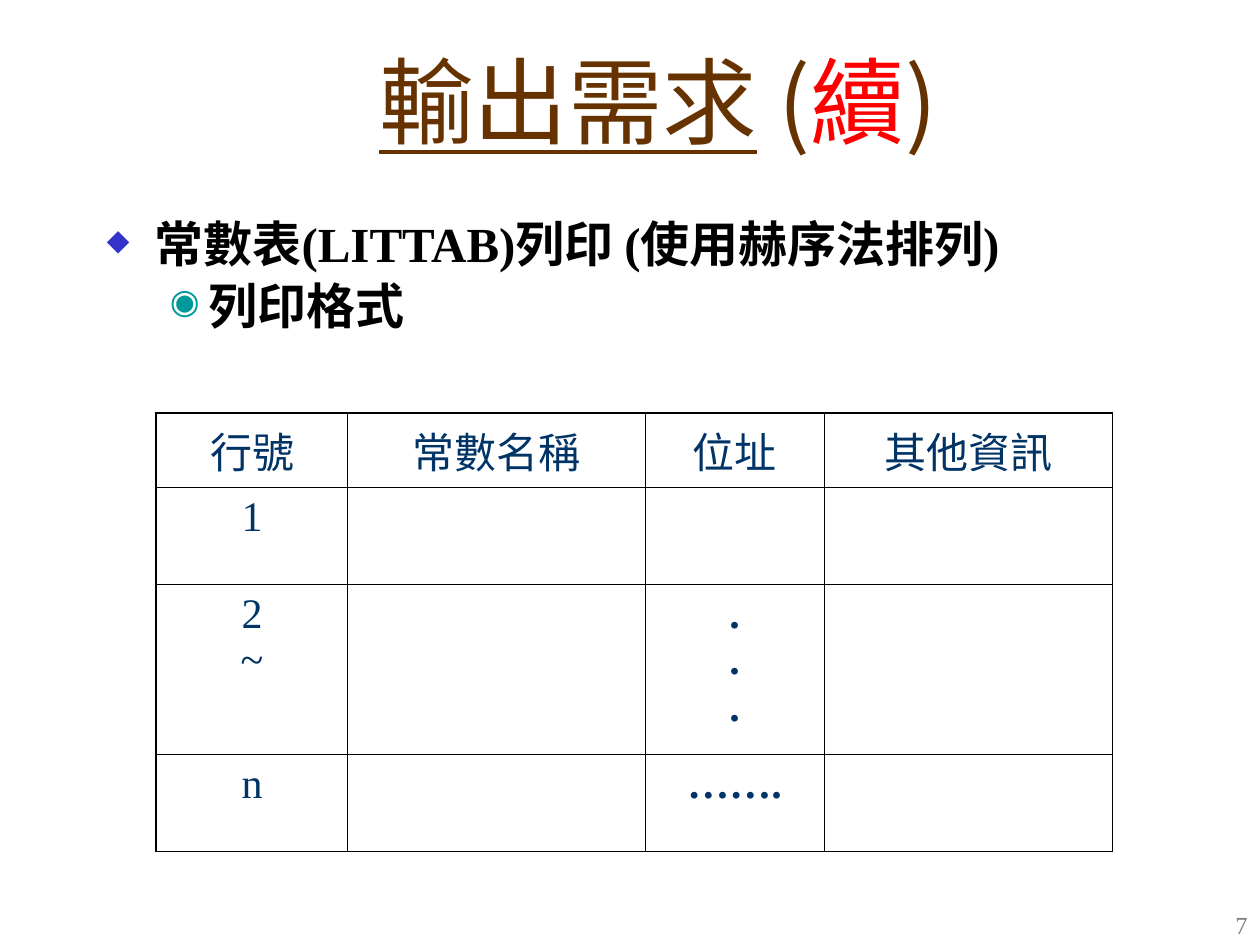
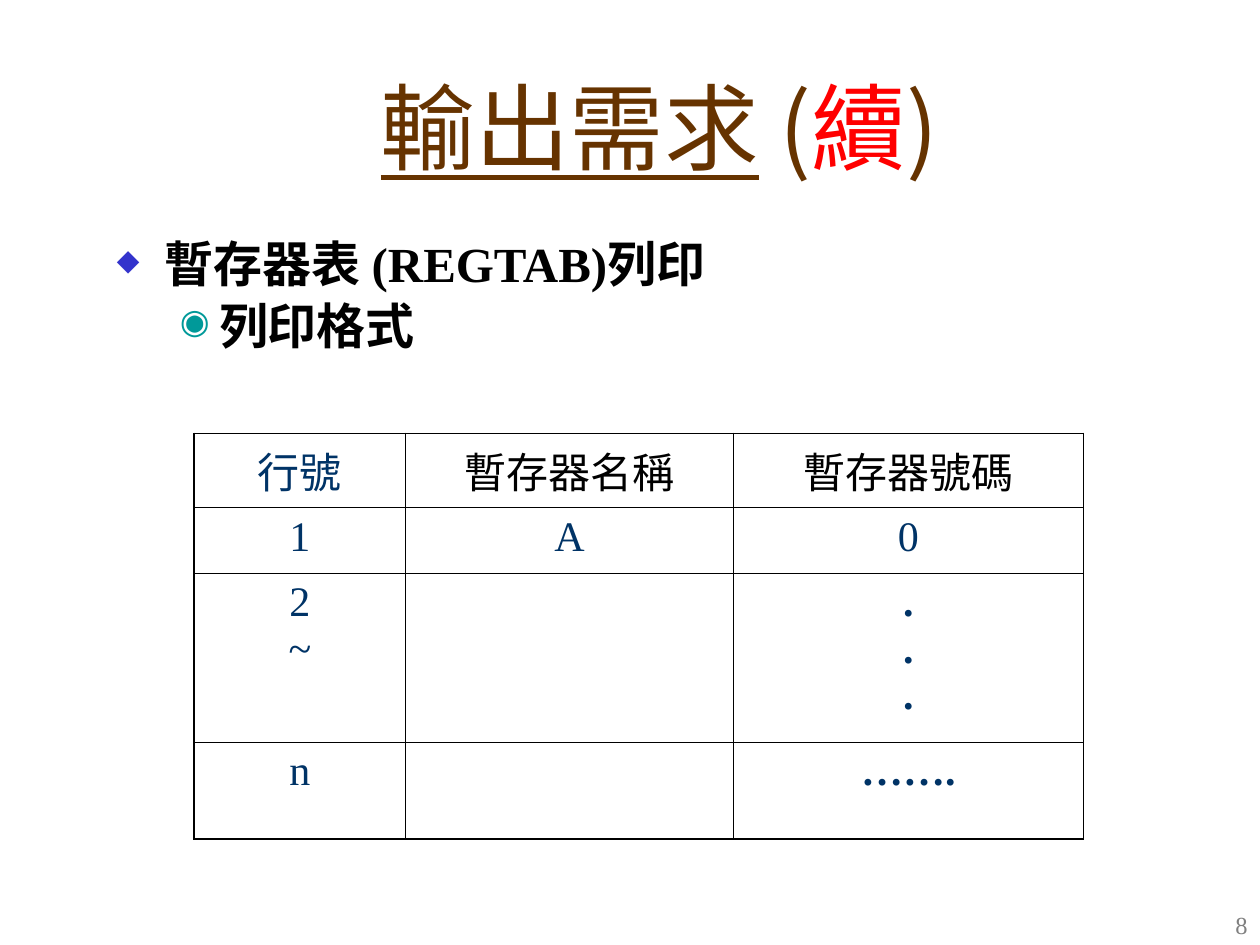
from lxml.etree import SubElement
from pptx import Presentation
from pptx.dml.color import RGBColor
from pptx.enum.text import MSO_ANCHOR, PP_ALIGN
from pptx.oxml import parse_xml
from pptx.oxml.ns import qn
from pptx.util import Inches, Pt

COLORS = {
    "title": "663300",
    "accent": "FF0000",
    "body": "000000",
    "table": "003366",
    "border": "000000",
    "number": "808080",
    "diamond": "3333CC",
    "circle": "009999",
    "shadow": "808080",
}
SANS = "Noto Sans CJK SC"
SERIF = "Times New Roman"
NAMESPACE = 'xmlns:a="http://schemas.openxmlformats.org/drawingml/2006/main"'
TEXT_SHADOW = (
    f'<a:effectLst {NAMESPACE}><a:outerShdw dist="28398" dir="2700000" algn="ctr">'
    f'<a:srgbClr val="{COLORS["shadow"]}"/></a:outerShdw></a:effectLst>'
)
BULLETS = [("◆", "diamond", 60, 0.38, 0.38), ("◉", "circle", 70, 0.81, 0.31)]
TITLE_RUNS = [
    ("輸出需求", "title", True),
    (" (", "title", False),
    ("續", "accent", False),
    (")", "title", False),
]
OUTER_WIDTH, INNER_WIDTH = Pt(1.08), Pt(0.45)
DOTS = ".\n.\n."
ELLIPSIS = "……."


def add_run(paragraph, text, size, color, name, bold=False):
    """Append a formatted run and return it."""
    run = paragraph.add_run()
    run.text = text
    font = run.font
    font.size = Pt(size)
    font.bold = bold
    font.name = name
    font.color.rgb = RGBColor.from_string(COLORS[color])
    latin = run._r.get_or_add_rPr().find(qn("a:latin"))
    latin.addnext(parse_xml(f'<a:ea {NAMESPACE} typeface="{SANS}"/>'))
    return run


def add_text_frame(slide, box, anchor=MSO_ANCHOR.TOP):
    """Add a wrapping text box and return its text frame."""
    frame = slide.shapes.add_textbox(*map(Inches, box)).text_frame
    frame.word_wrap = True
    frame.vertical_anchor = anchor
    return frame


def add_title(slide, box):
    """Add the centred, shadowed title."""
    paragraph = add_text_frame(slide, box, MSO_ANCHOR.MIDDLE).paragraphs[0]
    paragraph.alignment = PP_ALIGN.CENTER
    for text, color, underlined in TITLE_RUNS:
        run = add_run(paragraph, text, 54, color, SANS)
        run.font.underline = underlined
        fill = run._r.rPr.find(qn("a:solidFill"))
        fill.addnext(parse_xml(TEXT_SHADOW))


def set_bullet(paragraph, symbol, color, percent, margin, hanging):
    """Give a paragraph a coloured bullet and a hanging indent."""
    properties = paragraph._p.get_or_add_pPr()
    properties.set("marL", str(Inches(margin)))
    properties.set("indent", str(-Inches(hanging)))
    bullet_color = SubElement(properties, qn("a:buClr"))
    SubElement(bullet_color, qn("a:srgbClr"), val=COLORS[color])
    SubElement(properties, qn("a:buSzPct"), val=str(percent * 1000))
    SubElement(properties, qn("a:buChar"), char=symbol)


def add_body(slide, box, lines):
    """Add the bulleted lines, one level deeper each."""
    frame = add_text_frame(slide, box)
    for level, (line, bullet) in enumerate(zip(lines, BULLETS)):
        paragraph = frame.add_paragraph() if level else frame.paragraphs[0]
        set_bullet(paragraph, *bullet)
        paragraph.level = level
        paragraph.line_spacing = 0.9
        if level:
            paragraph.space_before = Pt(5)
        add_run(paragraph, line, 28, "body", SERIF, bold=True)


def set_borders(cell, outer_sides):
    """Draw the four cell borders, thicker on the table's outer sides."""
    properties = cell._tc.get_or_add_tcPr()
    for side in "LRTB":
        width = OUTER_WIDTH if side in outer_sides else INNER_WIDTH
        line = SubElement(properties, qn(f"a:ln{side}"), w=str(width))
        fill = SubElement(line, qn("a:solidFill"))
        SubElement(fill, qn("a:srgbClr"), val=COLORS["border"])


def fill_cell(cell, text, color, name):
    """Write centred lines into a cell; dotted entries are bold."""
    paragraph = cell.text_frame.paragraphs[0]
    paragraph.alignment = PP_ALIGN.CENTER
    for index, line in enumerate(text.split("\n") if text else []):
        if index:
            paragraph.add_line_break()
        add_run(paragraph, line, 24, color, name, text in (DOTS, ELLIPSIS))


def add_format_table(slide, left, top, widths, heights, rows, header_colors):
    """Add the print-format table."""
    table = slide.shapes.add_table(
        len(rows), len(widths), Inches(left), Inches(top),
        Inches(sum(widths)), Inches(sum(heights)),
    ).table
    table.first_row = table.horz_banding = False
    for column, width in zip(table.columns, widths):
        column.width = Inches(width)
    for row, height in zip(table.rows, heights):
        row.height = Inches(height)
    last_row, last_column = len(rows) - 1, len(widths) - 1
    for r, texts in enumerate(rows):
        for c, text in enumerate(texts):
            cell = table.cell(r, c)
            edges = {"L": c == 0, "R": c == last_column, "T": r == 0, "B": r == last_row}
            set_borders(cell, [side for side, is_outer in edges.items() if is_outer])
            cell.fill.background()
            if r == 0:
                fill_cell(cell, text, header_colors[c], SANS)
            else:
                fill_cell(cell, text, "table", SERIF)


def add_slide_number(slide, number):
    """Add the page number at the lower right."""
    paragraph = add_text_frame(slide, (8.5, 7.17, 1.5, 0.25)).paragraphs[0]
    paragraph.alignment = PP_ALIGN.RIGHT
    add_run(paragraph, str(number), 14, "number", SERIF)


def add_table_slide(presentation, number, title_box, body_box, heading, **table):
    """Add a slide with title, bullets, format table and page number."""
    slide = presentation.slides.add_slide(presentation.slide_layouts[6])
    add_slide_number(slide, number)
    add_body(slide, body_box, [heading, "列印格式"])
    add_format_table(slide, **table)
    add_title(slide, title_box)


def main():
    """Build and save the presentation."""
    presentation = Presentation()
    presentation.slide_width, presentation.slide_height = Inches(10), Inches(7.5)
    add_table_slide(
        presentation, 7, (1.21, 0.21, 8.03, 1.17), (0.75, 1.7, 8.49, 4.96),
        "常數表(LITTAB)列印 (使用赫序法排列)",
        left=1.24, top=3.28,
        widths=[1.52, 2.36, 1.42, 2.29], heights=[0.59, 0.77, 1.35, 0.77],
        rows=[
            ["行號", "常數名稱", "位址", "其他資訊"],
            ["1", "", "", ""],
            ["2\n~", "", DOTS, ""],
            ["n", "", ELLIPSIS, ""],
        ],
        header_colors=["table"] * 4,
    )
    add_table_slide(
        presentation, 8, (1.22, 0.29, 8.03, 1.41), (0.83, 1.86, 8.49, 5.25),
        "暫存器表 (REGTAB)列印",
        left=1.54, top=3.44,
        widths=[1.68, 2.6, 2.78], heights=[0.59, 0.52, 1.34, 0.77],
        rows=[
            ["行號", "暫存器名稱", "暫存器號碼"],
            ["1", "A", "0"],
            ["2\n~", "", DOTS],
            ["n", "", ELLIPSIS],
        ],
        header_colors=["table", "body", "body"],
    )
    presentation.save("out.pptx")


if __name__ == "__main__":
    main()
